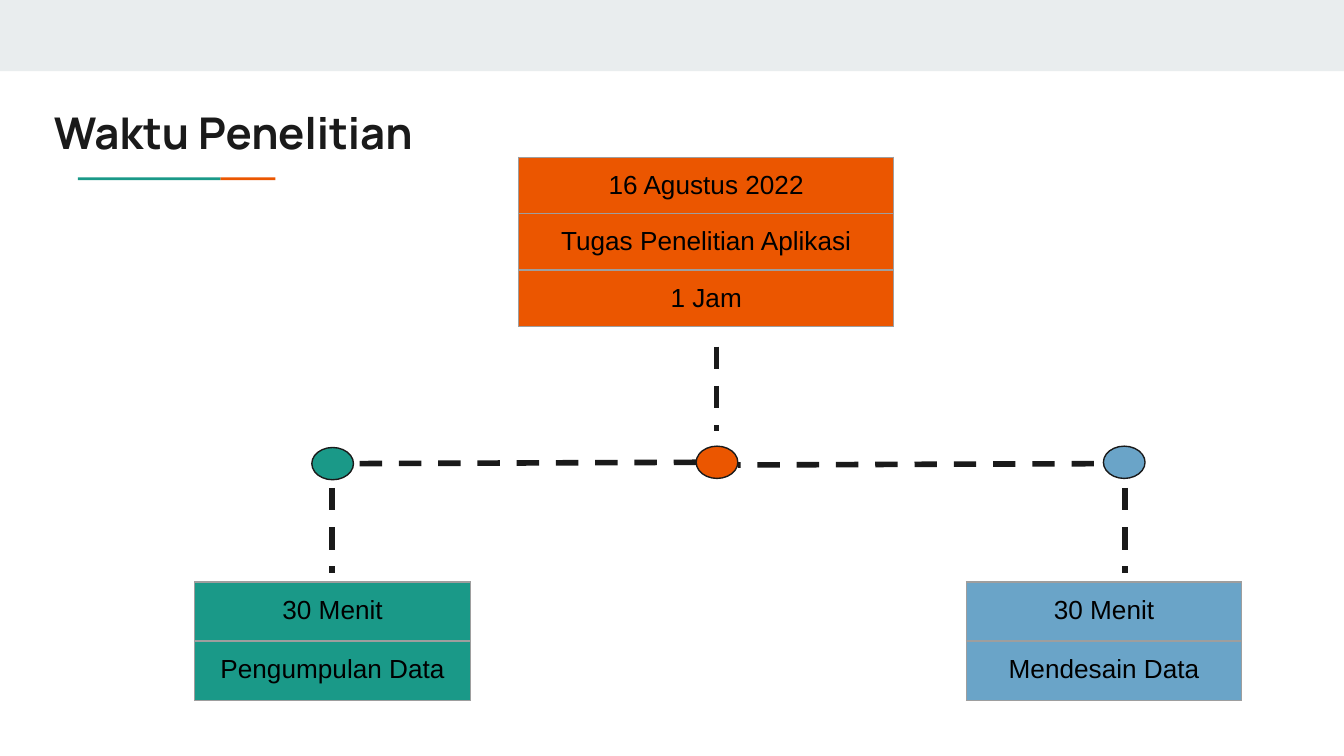
import pptx
import pptx.dml.color
import pptx.enum.dml
import pptx.enum.shapes
import pptx.enum.text
import pptx.oxml
import pptx.oxml.ns
import pptx.util
from pptx.util import Inches

INK = "1A1A1A"
GREEN = "1A9988"
ORANGE = "EB5600"
BLUE = "6AA4C8"
BAND = "E9EDEE"
BORDER = "9E9E9E"


def color(value):
    return pptx.dml.color.RGBColor.from_string(value)


class TimelineSlide:
    title_font = "Manrope"
    body_font = "Arial"

    def __init__(self, presentation):
        self.slide = presentation.slides.add_slide(presentation.slide_layouts[5])

    def format_text(self, paragraph, font_name, size, fill, bold=False):
        for run in paragraph.runs:
            run.font.name = font_name
            run.font.size = pptx.util.Pt(size)
            run.font.bold = bold
            run.font.color.rgb = color(fill)

    def title(self, text, left, top, width, height):
        shape = self.slide.shapes.title
        shape.left, shape.top = Inches(left), Inches(top)
        shape.width, shape.height = Inches(width), Inches(height)
        frame = shape.text_frame
        frame.text = text
        frame.auto_size = pptx.enum.text.MSO_AUTO_SIZE.NONE
        frame.vertical_anchor = pptx.enum.text.MSO_ANCHOR.MIDDLE
        frame.margin_left = frame.margin_right = Inches(0.1)
        frame.margin_top = frame.margin_bottom = Inches(0.1)
        paragraph = frame.paragraphs[0]
        paragraph.alignment = pptx.enum.text.PP_ALIGN.LEFT
        self.format_text(paragraph, self.title_font, 23.4, INK, True)

    def shape(self, kind, left, top, width, height, fill):
        shape = self.slide.shapes.add_shape(
            kind, Inches(left), Inches(top), Inches(width), Inches(height))
        shape.shadow.inherit = False
        shape.fill.solid()
        shape.fill.fore_color.rgb = color(fill)
        shape.line.fill.background()
        return shape

    def bar(self, left, top, width, height, fill):
        self.shape(pptx.enum.shapes.MSO_SHAPE.RECTANGLE, left, top, width, height, fill)

    def dot(self, left, top, fill):
        kind = pptx.enum.shapes.MSO_SHAPE.FLOWCHART_CONNECTOR
        shape = self.shape(kind, left, top, 0.31, 0.24, fill)
        shape.line.color.rgb = color(INK)
        shape.line.width = pptx.util.Pt(0.75)

    def dashed_line(self, x1, y1, x2, y2):
        line = self.slide.shapes.add_connector(
            pptx.enum.shapes.MSO_CONNECTOR.STRAIGHT,
            Inches(x1), Inches(y1), Inches(x2), Inches(y2))
        line.line.color.rgb = color(INK)
        line.line.width = pptx.util.Pt(3)
        line.line.dash_style = pptx.enum.dml.MSO_LINE.DASH
        line._element.spPr.append(pptx.oxml.parse_xml(
            f'<a:effectLst {pptx.oxml.ns.nsdecls("a")}/>'))

    def cell_borders(self, cell):
        properties = cell._tc.get_or_add_tcPr()
        for side in ("lnL", "lnR", "lnT", "lnB"):
            properties.append(pptx.oxml.parse_xml(
                f'<a:{side} {pptx.oxml.ns.nsdecls("a")} w="{pptx.util.Pt(0.75)}">'
                f'<a:solidFill><a:srgbClr val="{BORDER}"/></a:solidFill></a:{side}>'))

    def table(self, texts, left, top, width, row_height, fill):
        table = self.slide.shapes.add_table(
            len(texts), 1, Inches(left), Inches(top),
            Inches(width), Inches(row_height * len(texts))).table
        for row, text in zip(table.rows, texts):
            row.height = Inches(row_height)
            cell = row.cells[0]
            cell.margin_left = cell.margin_right = Inches(0.1)
            cell.margin_top = cell.margin_bottom = Inches(0.1)
            self.cell_borders(cell)
            cell.fill.solid()
            cell.fill.fore_color.rgb = color(fill)
            cell.text_frame.text = text
            paragraph = cell.text_frame.paragraphs[0]
            paragraph.alignment = pptx.enum.text.PP_ALIGN.CENTER
            self.format_text(paragraph, self.body_font, 14, "000000")


def main():
    presentation = pptx.Presentation()
    presentation.slide_width = Inches(10)
    presentation.slide_height = Inches(10 * 9 / 16)
    timeline = TimelineSlide(presentation)

    timeline.bar(0, 0, 10, 0.53, BAND)
    timeline.bar(1.64, 1.32, 0.41, 0.02, ORANGE)
    timeline.bar(0.58, 1.32, 1.06, 0.02, GREEN)
    timeline.title("Waktu Penelitian", 0.3, 0.69, 8.41, 0.59)

    timeline.table(["30 Menit", "Pengumpulan Data"], 1.45, 4.33, 2.05, 0.44, GREEN)
    timeline.table(["30 Menit", "Mendesain Data"], 7.19, 4.33, 2.05, 0.44, BLUE)
    timeline.table(["16 Agustus 2022", "Tugas Penelitian Aplikasi", "1 Jam"],
                   3.86, 1.17, 2.79, 0.42, ORANGE)

    timeline.dashed_line(5.18, 3.44, 2.53, 3.45)
    timeline.dashed_line(8.14, 3.45, 5.49, 3.46)
    for x, top in ((5.33, 2.58), (2.47, 3.63), (8.37, 3.63)):
        timeline.dashed_line(x, top, x, top + 0.63)
    for left, top, fill in ((5.18, 3.32, ORANGE), (2.32, 3.33, GREEN), (8.21, 3.32, BLUE)):
        timeline.dot(left, top, fill)

    presentation.save("out.pptx")


if __name__ == "__main__":
    main()
